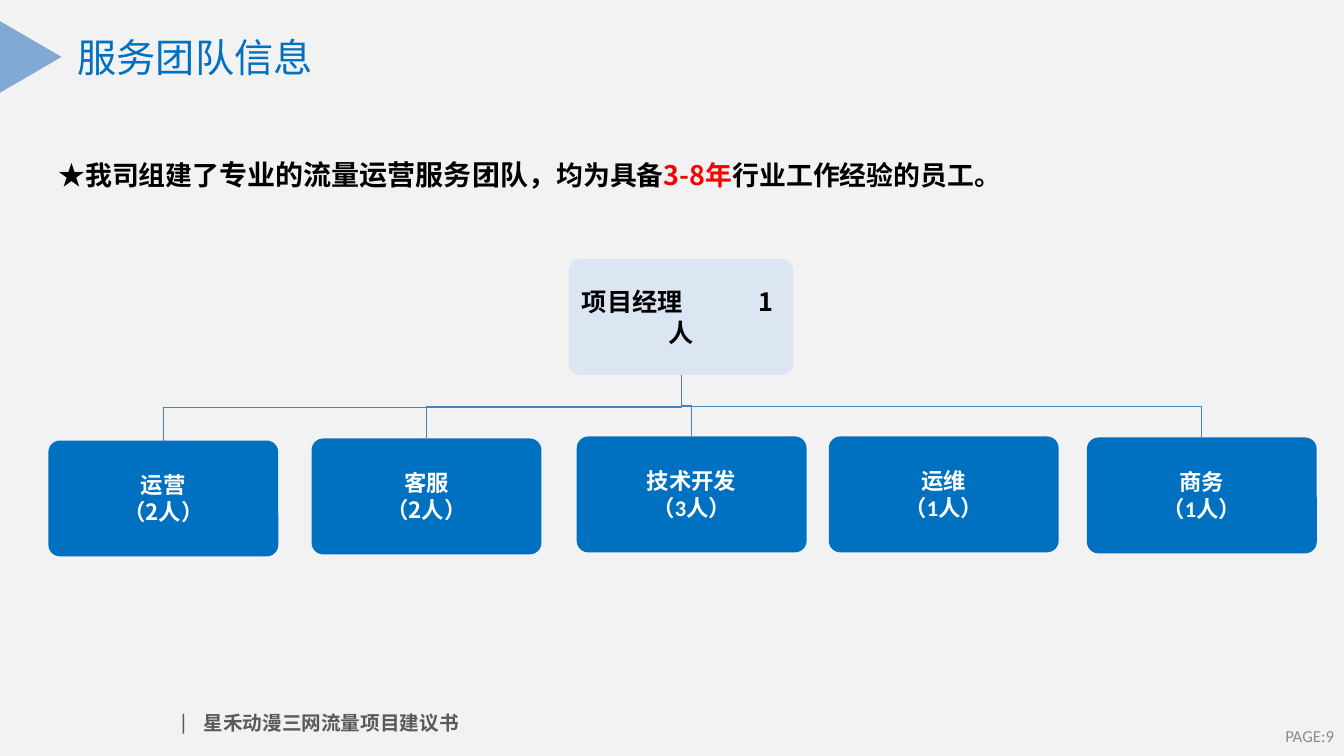
import pptx
import pptx.util
import pptx.dml.color
import pptx.enum.shapes
import pptx.enum.text
import pptx.oxml
import pptx.oxml.ns

Inches = pptx.util.Inches
Pt = pptx.util.Pt
RGBColor = pptx.dml.color.RGBColor
SHAPE = pptx.enum.shapes.MSO_SHAPE
ELBOW = pptx.enum.shapes.MSO_CONNECTOR.ELBOW
ALIGN = pptx.enum.text.PP_ALIGN
MIDDLE = pptx.enum.text.MSO_ANCHOR.MIDDLE
TOP = pptx.enum.text.MSO_ANCHOR.TOP

PAPER = RGBColor(0xF2, 0xF2, 0xF2)
BLUE = RGBColor(0x00, 0x70, 0xC0)
SKY = RGBColor(0x82, 0xA9, 0xD3)
PALE = RGBColor(0xDC, 0xE6, 0xF2)
WIRE = RGBColor(0x4B, 0x7E, 0xBC)
RED = RGBColor(0xFF, 0x00, 0x00)
BLACK = RGBColor(0x00, 0x00, 0x00)
WHITE = RGBColor(0xFF, 0xFF, 0xFF)
DARK = RGBColor(0x59, 0x59, 0x59)
GREY = RGBColor(0x8C, 0x8C, 0x8C)
LATIN = "Calibri"
HAN = "Noto Sans CJK SC"

LEAD = (5.64, 2.57, 2.23, 1.15)
CARD = (2.28, 1.15)
TEAMS = [
    ("运营", "（2人）", 0.48, 4.37, HAN, True),
    ("客服", "（2人）", 3.09, 4.35, HAN, True),
    ("技术开发", "（3人）", 5.72, 4.33, LATIN, True),
    ("运维", "（1人）", 8.22, 4.33, LATIN, False),
    ("商务", "（1人）", 10.78, 4.34, LATIN, True),
]


def style(font, size, color, name=LATIN, bold=False):
    font.size = Pt(size)
    font.color.rgb = color
    font.name = name
    font.bold = bold


def tab_stop(para, pos):
    stops = pptx.oxml.parse_xml(
        f'<a:tabLst {pptx.oxml.ns.nsdecls("a")}>'
        f'<a:tab pos="{Inches(pos)}" algn="l"/></a:tabLst>')
    para._p.get_or_add_pPr().insert(0, stops)


def add_text(slide, box, anchor=MIDDLE):
    frame = slide.shapes.add_textbox(*map(Inches, box)).text_frame
    frame.word_wrap = True
    frame.vertical_anchor = anchor
    return frame.paragraphs[0]


def add_solid(slide, kind, box, fill):
    shape = slide.shapes.add_shape(kind, *map(Inches, box))
    shape.shadow.inherit = False
    shape.fill.solid()
    shape.fill.fore_color.rgb = fill
    shape.line.fill.background()
    return shape


def add_card(slide, box, fill, lines, size, color, name):
    card = add_solid(slide, SHAPE.ROUNDED_RECTANGLE, box, fill)
    card.adjustments[0] = 0.1
    frame = card.text_frame
    frame.vertical_anchor = MIDDLE
    frame.text = "\n".join(lines)
    for para in frame.paragraphs:
        para.alignment = ALIGN.CENTER
        style(para.font, size, color, name, True)
    return frame


def add_link(slide, start, end):
    (x1, y1), (x2, y2) = start, end
    drop, span = y2 - y1, abs(x2 - x1)
    left = (x1 + x2 - drop) / 2
    top = (y1 + y2 - span) / 2
    right = left + drop
    ends = (left, right) if x2 < x1 else (right, left)
    link = slide.shapes.add_connector(
        ELBOW, Inches(ends[0]), Inches(top), Inches(ends[1]), Inches(top + span))
    turn = 90 if x2 < x1 else 270
    props = link._element.spPr
    props.xfrm.set("rot", str(turn * 60000))
    link.line.color.rgb = WIRE
    link.line.width = Pt(0.75)
    props.append(pptx.oxml.parse_xml(
        f'<a:effectLst {pptx.oxml.ns.nsdecls("a")}/>'))


def add_head(slide, box):
    left, top, width, height = box
    title = slide.shapes.title
    title.left, title.top, title.width, title.height = map(Inches, box)
    title.text = "服务团队信息"
    title.text_frame.vertical_anchor = MIDDLE
    para = title.text_frame.paragraphs[0]
    para.alignment = ALIGN.LEFT
    style(para.font, 28, BLUE)
    mark = add_solid(slide, SHAPE.ISOSCELES_TRIANGLE,
                     (left - 0.72, top + 0.04, 0.71, 0.61), SKY)
    mark.rotation = 90


def add_claim(slide, box):
    para = add_text(slide, box, TOP)
    para.line_spacing = 1.5
    for text, size, color in [
        ("★我司组建了", 19.2, BLACK),
        ("专业的流量运营服务团队，", 20, BLACK),
        ("均为具备", 19.2, BLACK),
        ("3-8年", 19.2, RED),
        ("行业工作经验的员工。", 19.2, BLACK),
    ]:
        run = para.add_run()
        run.text = text
        style(run.font, size, color, HAN, True)


def add_chart(slide, box):
    left, top, width, height = box
    hub = (left + width / 2, top + height)
    for team, count, x, y, name, linked in TEAMS:
        if linked:
            add_link(slide, hub, (x + CARD[0] / 2, y))
        add_card(slide, (x, y, *CARD), BLUE, (team, count), 16, WHITE, name)
    frame = add_card(slide, box, PALE, ("项目经理\t1", "人"), 18, BLACK, HAN)
    first = frame.paragraphs[0]
    first.alignment = ALIGN.LEFT
    tab_stop(first, 1.75)


def add_foot(slide, box):
    left, top, width, height = box
    para = add_text(slide, box)
    tab_stop(para, 0.25)
    for text, size, bold in [("|\t", 16, False),
                             ("星禾动漫三网流量项目建议书", 14, True)]:
        run = para.add_run()
        run.text = text
        style(run.font, size, DARK, LATIN, bold)
    page = add_text(slide, (10.22, top + 0.29, 3.11, 0.4))
    page.text = "PAGE:9"
    page.alignment = ALIGN.RIGHT
    style(page.font, 12, GREY)


def main():
    deck = pptx.Presentation()
    deck.slide_width = Inches(13.33)
    deck.slide_height = Inches(7.5)
    slide = deck.slides.add_slide(deck.slide_layouts[5])
    slide.background.fill.solid()
    slide.background.fill.fore_color.rgb = PAPER
    add_head(slide, (0.67, 0.22, 12, 0.69))
    add_claim(slide, (0.48, 1.35, 12.36, 0.61))
    add_chart(slide, LEAD)
    add_foot(slide, (1.67, 6.81, 11.66, 0.69))
    deck.save("out.pptx")


if __name__ == "__main__":
    main()
